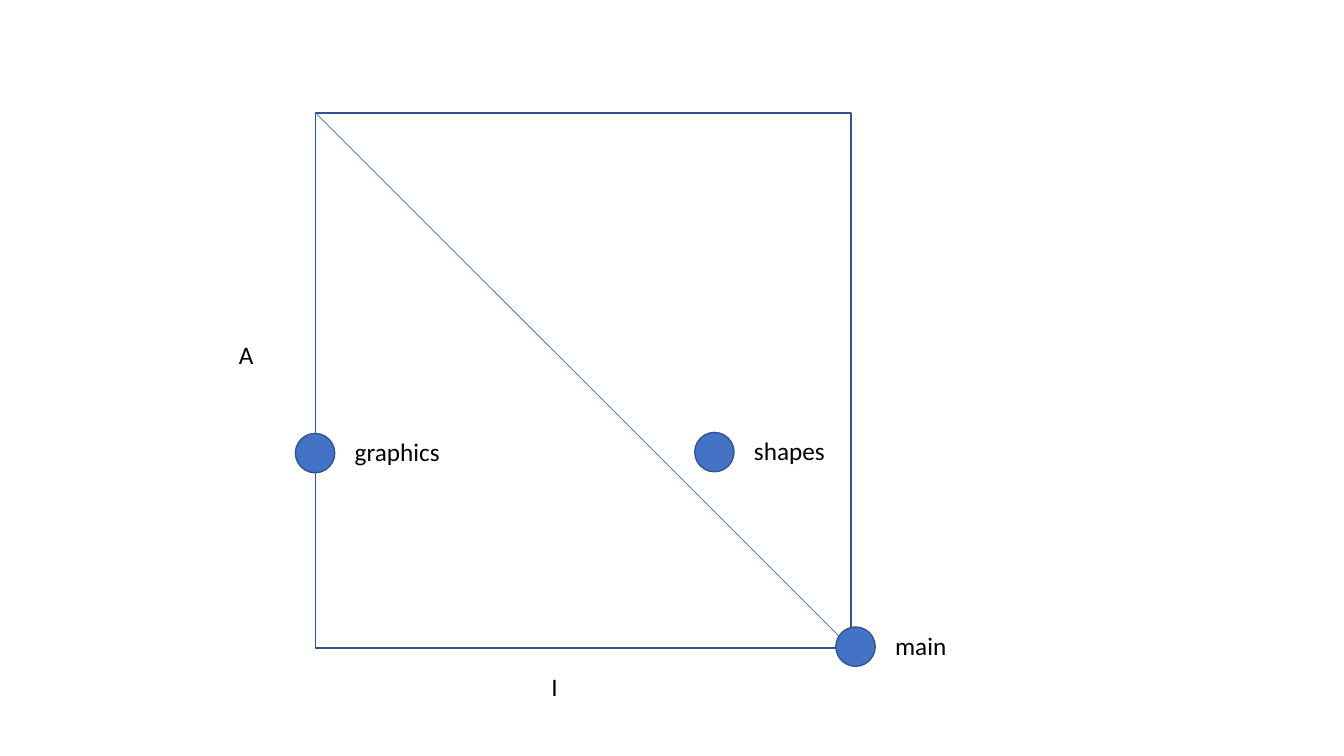
from pptx import Presentation
from pptx.dml.color import RGBColor
from pptx.enum import shapes, text
from pptx.oxml import ns
from pptx.util import Inches, Pt

COLORS = {"dot": "4472C4", "edge": "325491", "text": "000000"}
DOT = 0.39
PACKAGES = [("shapes", 6.89, 4.29), ("graphics", 2.93, 4.3), ("main", 8.29, 6.22)]


def color(name):
    return RGBColor.from_string(COLORS[name])


def add_label(parent, label, x, y, w, h=0.4, size=18, font="Calibri"):
    box = parent.add_textbox(Inches(x), Inches(y), Inches(w), Inches(h))
    tf = box.text_frame
    tf.word_wrap = True
    tf.auto_size = text.MSO_AUTO_SIZE.SHAPE_TO_FIT_TEXT
    r = tf.paragraphs[0].add_run()
    r.text = label
    r.font.size = Pt(size)
    r.font.name = font
    r.font.color.rgb = color("text")


def add_outlined(parent, kind, x, y, size, fill=None):
    sp = parent.add_shape(kind, Inches(x), Inches(y), Inches(size), Inches(size))
    sp.shadow.inherit = False
    if fill:
        sp.fill.solid()
        sp.fill.fore_color.rgb = color(fill)
    else:
        sp.fill.background()
    sp.line.color.rgb = color("edge")
    sp.line.width = Pt(1)


def add_plot(s, x, y, size):
    add_outlined(s.shapes, shapes.MSO_SHAPE.RECTANGLE, x, y, size)
    add_label(s.shapes, "A", x - 0.86, y + 2.2, 0.45)
    add_label(s.shapes, "I", x + 2.24, y + size + 0.18, 0.45)
    diagonal = s.shapes.add_connector(
        shapes.MSO_CONNECTOR.STRAIGHT,
        Inches(x), Inches(y), Inches(x + size), Inches(y + size))
    diagonal.line.color.rgb = color("dot")
    diagonal.line.width = Pt(0.5)
    diagonal._element.spPr.append(
        diagonal._element.makeelement(ns.qn("a:effectLst"), {}))


def add_package(s, name, x, y):
    group = s.shapes.add_group_shape().shapes
    add_outlined(group, shapes.MSO_SHAPE.OVAL, x, y, DOT, fill="dot")
    add_label(group, name, x + DOT + 0.1, y - 0.02, 1.06)


def main():
    prs = Presentation()
    prs.slide_width, prs.slide_height = Inches(13.33), Inches(7.5)
    s = prs.slides.add_slide(prs.slide_layouts[6])
    add_plot(s, 3.13, 1.12, 5.31)
    for name, x, y in PACKAGES:
        add_package(s, name, x, y)
    prs.save("out.pptx")


if __name__ == "__main__":
    main()
